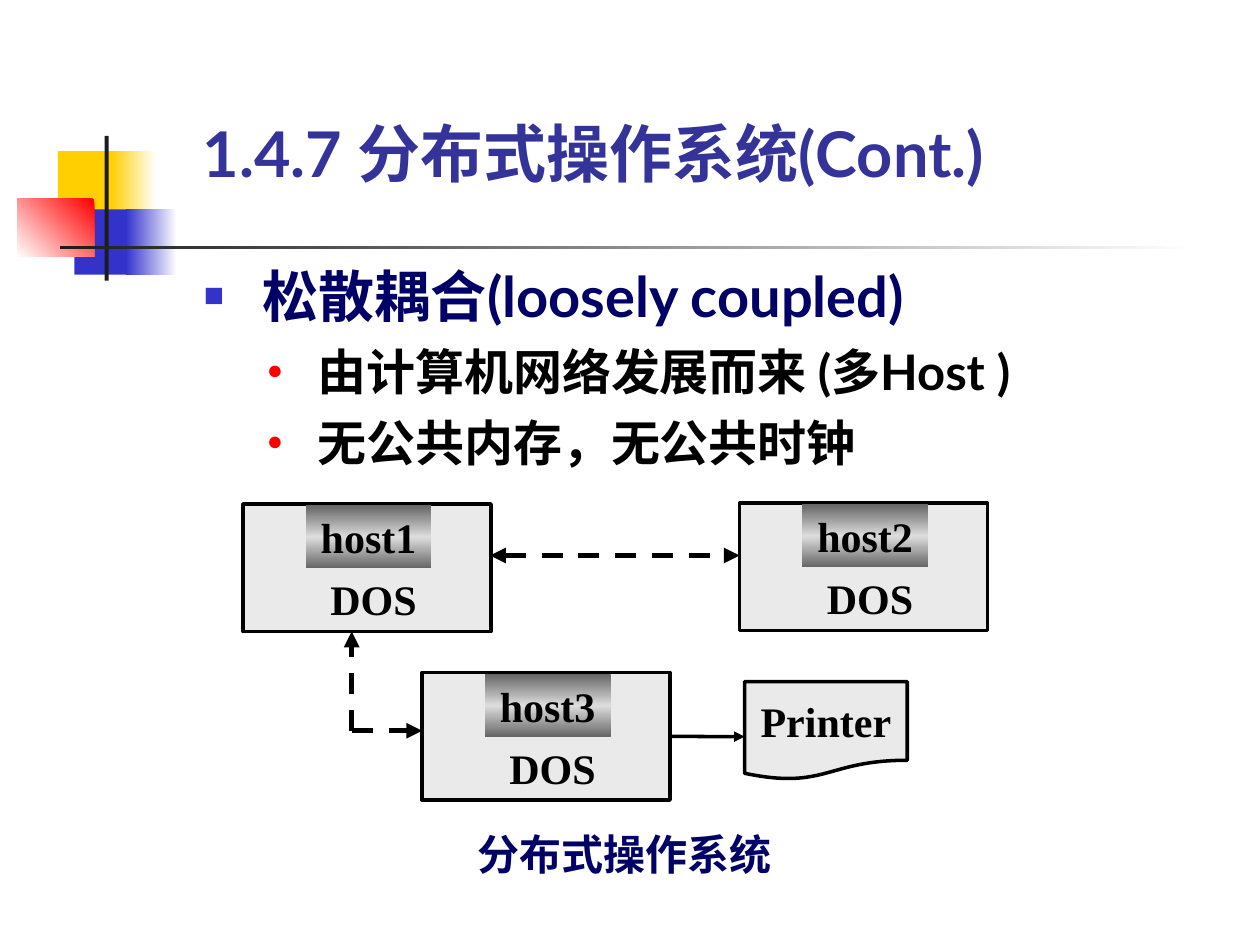
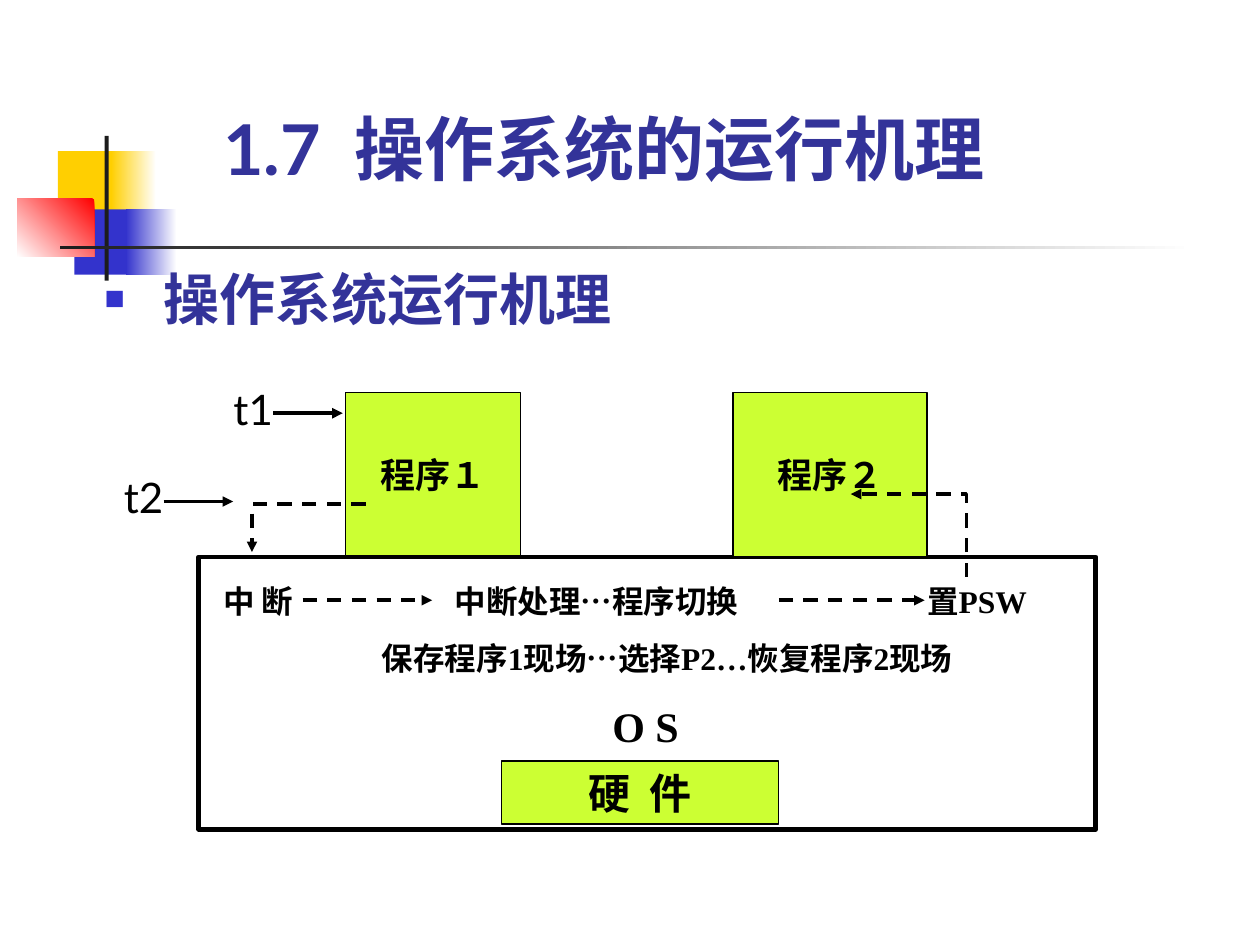
from copy import deepcopy

from lxml import etree
from pptx import Presentation
from pptx import util as u
from pptx.dml.color import RGBColor
from pptx.enum import dml, shapes, text
from pptx.oxml.ns import qn

COLORS = {
    "title": "333399", "navy": "000066", "black": "000000", "white": "FFFFFF",
    "yellow": "FFCF01", "blue": "3333CC", "red": "FF0000", "ink": "1C1C1C",
    "panel": "EAEAEA", "lime": "CCFF33", "steel": "656565", "silver": "DDDDDD",
}
RGB = {name: RGBColor.from_string(value) for name, value in COLORS.items()}
SANS, CJK, SERIF = "Lato", "Noto Sans CJK SC", "Times New Roman"
LEFT, CENTER = text.PP_ALIGN.LEFT, text.PP_ALIGN.CENTER
TOP, MIDDLE, BOTTOM = (text.MSO_ANCHOR.TOP, text.MSO_ANCHOR.MIDDLE,
                       text.MSO_ANCHOR.BOTTOM)
RECTANGLE = shapes.MSO_SHAPE.RECTANGLE
DOCUMENT = shapes.MSO_SHAPE.FLOWCHART_DOCUMENT


def add_box(slide, box, words="", fill=None, line=0, kind=RECTANGLE, size=24,
            font=SERIF, color="black", bold=True, align=CENTER, anchor=TOP,
            inset=(0, 0), wrap=True):
    """Add a text box, or a shape if fill is a colour or (angle, *gradient colours)."""
    place = [u.Cm(length) for length in box]
    if fill is None:
        shape = slide.shapes.add_textbox(*place)
    else:
        shape = slide.shapes.add_shape(kind, *place)
        shape.shadow.inherit = False
        if isinstance(fill, str):
            shape.fill.solid()
            shape.fill.fore_color.rgb = RGB[fill]
        else:
            angle, *stops = fill
            shape.fill.gradient()
            shape.fill.gradient_angle = angle
            stop_list = shape._element.spPr.find(".//" + qn("a:gsLst"))
            for _ in stops[2:]:
                stop_list.append(deepcopy(stop_list[0]))
            for index, stop in enumerate(shape.fill.gradient_stops):
                stop.position = index / (len(stops) - 1)
                stop.color.rgb = RGB[stops[index]]
        if line:
            shape.line.color.rgb = RGB["black"]
            shape.line.width = u.Pt(line)
        else:
            shape.line.fill.background()
    if words:
        frame = shape.text_frame
        frame.text = words
        frame.word_wrap = wrap
        frame.vertical_anchor = anchor
        frame.margin_left = frame.margin_right = u.Cm(inset[0])
        frame.margin_top = frame.margin_bottom = u.Cm(inset[1])
        for paragraph in frame.paragraphs:
            paragraph.alignment = align
            for run in paragraph.runs:
                run.font.name, run.font.size, run.font.bold = font, u.Pt(size), bold
                run.font.color.rgb = RGB[color]
    return shape


def add_arrow(slide, points, width=2, dashed=False, both=False):
    """Draw a line through the points with a head at its end, or at both ends."""
    (x, y), *rest = [(u.Cm(x), u.Cm(y)) for x, y in points]
    if len(rest) == 1:
        arrow = slide.shapes.add_connector(shapes.MSO_CONNECTOR.STRAIGHT, x, y, *rest[0])
        etree.SubElement(arrow._element.spPr, qn("a:effectLst"))
    else:
        builder = slide.shapes.build_freeform(x, y)
        builder.add_line_segments(rest, close=False)
        arrow = builder.convert_to_shape()
        arrow.fill.background()
        arrow.shadow.inherit = False
    arrow.line.color.rgb = RGB["black"]
    arrow.line.width = u.Pt(width)
    if dashed:
        arrow.line.dash_style = dml.MSO_LINE.DASH
    for end in ("a:headEnd", "a:tailEnd")[0 if both else 1:]:
        etree.SubElement(arrow.line._get_or_add_ln(), qn(end), type="triangle")
    return arrow


presentation = Presentation()
presentation.slide_width, presentation.slide_height = u.Cm(25.4), u.Cm(19.05)

DECORATION = [
    ((1.17, 3.05, 1.22, 1.32), "yellow"),
    ((2.24, 3.05, 0.91, 1.32), (180, "white", "yellow")),
    ((1.5, 4.22, 1.17, 1.32), "blue"),
    ((2.54, 4.22, 1.02, 1.32), (180, "white", "blue")),
    ((0.35, 4.01, 1.55, 1.17), (225, "red", "white")),
    ((2.11, 2.74, 0.08, 2.92), "ink"),
    ((1.22, 4.95, 22.86, 0.08), (180, "white", "ink")),
]
# level: bullet sign, colour, size in percent, text indent and hanging in cm
BULLETS = [("■", "blue", 60, 1.19, 1.19), ("●", "red", 55, 2.29, 1.02)]
PAGES = [
    ("1.4.7 分布式操作系统(Cont.)", (4.09, 2.31, 17.81, 1.52), 36,
     (4.11, 5.28, 17.6, 4.22), SANS,
     [(0, "松散耦合(loosely coupled)", 32, "navy"),
      (1, "由计算机网络发展而来 (多Host )", 28, "black"),
      (1, "无公共内存，无公共时钟", 28, "black")]),
    ("1.7  操作系统的运行机理", (4.5, 2.13, 16.21, 1.7), 40,
     (2.11, 5.33, 13, 1.35), CJK,
     [(0, "操作系统运行机理", 32, "title")]),
]
for title, title_box, title_size, body_box, body_font, items in PAGES:
    slide = presentation.slides.add_slide(presentation.slide_layouts[6])
    for box, fill in DECORATION:
        add_box(slide, box, fill=fill)
    add_box(slide, title_box, title, size=title_size, font=SANS, color="title",
            align=LEFT, anchor=BOTTOM)
    body = add_box(slide, body_box, "\n".join(item[1] for item in items),
                   font=body_font, align=LEFT)
    for paragraph, (level, _, size, color) in zip(body.text_frame.paragraphs, items):
        sign, sign_color, percent, indent, hanging = BULLETS[level]
        paragraph.level = level
        if level:
            paragraph.space_before = u.Pt(7)
        properties = paragraph._p.get_or_add_pPr()
        properties.set("marL", str(u.Cm(indent)))
        properties.set("indent", str(-u.Cm(hanging)))
        bullet_color = etree.SubElement(properties, qn("a:buClr"))
        etree.SubElement(bullet_color, qn("a:srgbClr"), val=COLORS[sign_color])
        etree.SubElement(properties, qn("a:buSzPct"), val=str(percent * 1000))
        etree.SubElement(properties, qn("a:buFont"), typeface=SERIF)
        etree.SubElement(properties, qn("a:buChar"), char=sign)
        for run in paragraph.runs:
            run.font.size = u.Pt(size)
            run.font.color.rgb = RGB[color]

network, mechanism = presentation.slides
INSET = (0.25, 0.13)

# Loosely coupled hosts
add_box(network, (8.89, 16.71, 7.39, 1.02), "分布式操作系统", font=SANS, color="navy")
add_arrow(network, [(9.88, 11.2), (14.91, 11.2)], 3, dashed=True, both=True)
hosts = {}
for name, left, top in [("host1", 4.9, 10.16), ("host2", 14.91, 10.14),
                        ("host3", 8.51, 13.56)]:
    hosts[name] = add_box(network, (left, top, 5, 2.57), fill="panel", line=2)
    add_box(network, (left + 1.26, top + 1.27, 2.74, 1.27), "DOS", inset=INSET)
    add_box(network, (left + 1.26, top + 0.03, 2.54, 1.27), name,
            fill=(90, "steel", "silver", "steel"), anchor=MIDDLE, inset=INSET, wrap=False)
add_box(network, (15.01, 13.74, 3.28, 1.98), "Printer", fill="panel", line=2,
        kind=DOCUMENT, anchor=MIDDLE, inset=INSET, wrap=False)
print_arrow = add_arrow(network, [(13.51, 14.85), (15.01, 14.85)])
print_arrow.begin_connect(hosts["host3"], 3)
add_arrow(network, [(7.09, 14.73), (7.09, 12.73)], 3, dashed=True)
add_arrow(network, [(7.09, 14.73), (8.51, 14.73)], 3, dashed=True)

# Switching from one program to the other
add_box(mechanism, (4.01, 11.23, 18.08, 5.49), fill="white", line=2.75)
for words, box, size in [("硬  件", (10.11, 15.34, 5.59, 1.27), 24),
                         ("程序１", (6.96, 7.92, 3.53, 3.28), 20),
                         ("程序２", (14.78, 7.92, 3.91, 3.3), 20)]:
    add_box(mechanism, box, words, fill="lime", line=0.75, size=size,
            anchor=MIDDLE, inset=INSET, wrap=False)
steps = add_box(mechanism, (7.7, 11.73, 11.61, 2.69),
                "中断处理…程序切换\n保存程序1现场…选择P2…恢复程序2现场",
                fill="white", size=18, align=LEFT)
first_step, second_step = steps.text_frame.paragraphs
first_step._p.get_or_add_pPr().set("marL", str(u.Cm(1.47)))
second_step.space_before = u.Pt(11.2)
for points in [[(7.37, 10.16), (5.08, 10.16), (5.08, 11.13)],
               [(6.1, 12.1), (8.71, 12.1)],
               [(15.7, 12.1), (18.64, 12.1)],
               [(19.48, 11.63), (19.48, 9.96), (17.15, 9.96)]]:
    add_arrow(mechanism, points, dashed=True)
add_box(mechanism, (11.53, 14.12, 2.97, 1.02), "O S", fill="white")
for words, left, width in [("中 断", 4.5, 1.8), ("置PSW", 18.69, 3)]:
    add_box(mechanism, (left, 11.73, width, 0.76), words, size=18, align=LEFT)
for words, left, top in [("t1", 4.7, 7.92), ("t2", 2.49, 9.7)]:
    moment = add_box(mechanism, (left, top, 0.81, 0.81), words, font=SANS,
                     bold=False, wrap=False)
    moment.text_frame.paragraphs[0].line_spacing = 0.8
    add_arrow(mechanism, [(left + 0.81, top + 0.41), (left + 2.21, top + 0.41)])

presentation.save("out.pptx")
